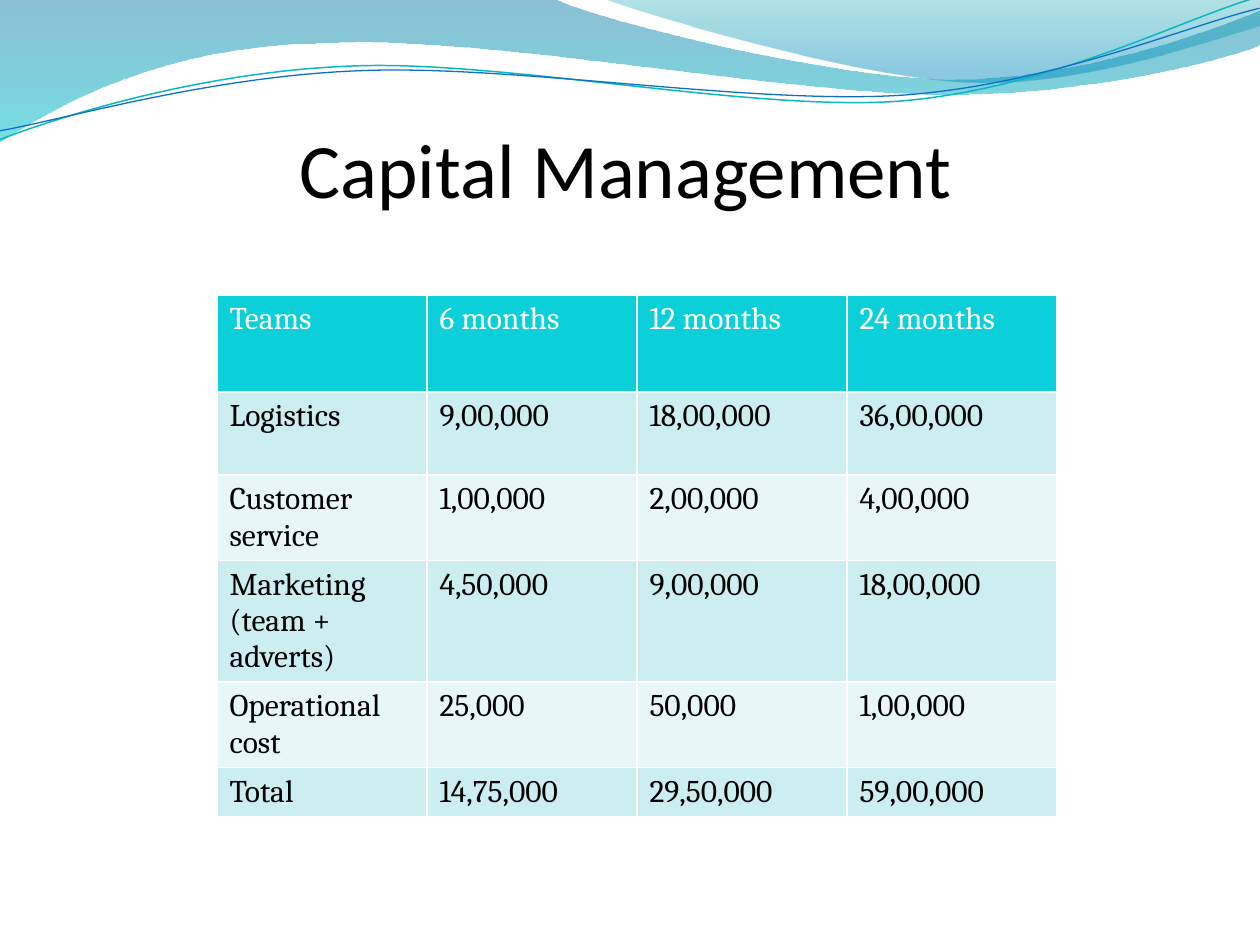
from dataclasses import dataclass

from lxml import etree
from pptx import Presentation
from pptx.dml.color import RGBColor
from pptx.enum.text import MSO_ANCHOR, PP_ALIGN
from pptx.oxml.ns import qn
from pptx.util import Inches, Pt

EMU_PER_PX = Inches(1) / 126
BLANK_LAYOUT = 6
LINE_ROTATION = 357.3
CENTER, LEFT = PP_ALIGN.CENTER, PP_ALIGN.LEFT
MIDDLE = MSO_ANCHOR.MIDDLE


@dataclass(frozen=True)
class Theme:
    title_font: str = "Calibri"
    table_font: str = "Cambria"
    title_size: int = 44
    table_size: int = 18
    text: str = "000000"
    white: str = "FFFFFF"
    header: str = "0BD0D9"
    bands: tuple = ("CCEEF1", "E7F7F8")
    # Gradient stops: position and opacity in percent
    left_wave: tuple = ((0, "0074A1", 45), (100, "00C6CF", 55))
    right_wave: tuple = ((0, "00A1A9", 30), (80, "008BBF", 45))
    teal_line: str = "0AB8BF"
    blue_line: str = "0F6FC6"


THEME = Theme()

# Each step after the start is one point (line) or three points (Bezier curve).
LEFT_WAVE = [
    (0, 0), [(554, -1)],
    [(600, 21), (837, 79), (955, 79)], [(1074, 79), (1207, 33), (1260, 11)],
    [(1261, 45)],
    [(1239, 55), (1096, 96), (940, 94)], [(784, 94), (481, 35), (324, 43)],
    [(163, 45), (58, 105), (-1, 142)], [(0, 0)],
]
RIGHT_WAVE = [
    (604, -1), [(641, 14), (859, 78), (969, 82)],
    [(1079, 87), (1211, 40), (1260, 26)], [(1260, 0)], [(604, -1)],
]
# The lines are given before their rotation.
TEAL_LINE = [
    (-3, 110), [(58, 90), (199, 52), (350, 53)],
    [(499, 53), (745, 117), (896, 114)], [(1049, 109), (1184, 45), (1260, 27)],
]
BLUE_LINE = [
    (-2, 101), [(57, 94), (207, 57), (357, 58)],
    [(509, 58), (750, 111), (902, 108)], [(1052, 104), (1188, 52), (1262, 38)],
]

BUDGET = [
    ["Teams", "6 months", "12 months", "24 months"],
    ["Logistics", "9,00,000", "18,00,000", "36,00,000"],
    ["Customer service", "1,00,000", "2,00,000", "4,00,000"],
    ["Marketing\n(team + adverts)", "4,50,000", "9,00,000", "18,00,000"],
    ["Operational cost", "25,000", "50,000", "1,00,000"],
    ["Total", "14,75,000", "29,50,000", "59,00,000"],
]
ROW_HEIGHTS = [97, 83, 83, 118, 83, 48]


def px(length):
    return round(length * EMU_PER_PX)


def color(value):
    return RGBColor.from_string(value)


def write_text(text_frame, text, *, font, size, text_color, align=LEFT):
    text_frame.word_wrap = True
    text_frame.text = text
    for paragraph in text_frame.paragraphs:
        paragraph.alignment = align
        for run in paragraph.runs:
            run.font.name = font
            run.font.size = Pt(size)
            run.font.bold = False
            run.font.color.rgb = color(text_color)


def bend_segments(shape, steps):
    """Join the straight segments of each three-point step into one curve."""
    segments = iter(list(shape.element.iter(qn("a:lnTo"))))
    for step in steps:
        segment = next(segments)
        if len(step) == 3:
            segment.tag = qn("a:cubicBezTo")
            for _ in range(2):
                extra = next(segments)
                segment.append(extra[0])
                extra.getparent().remove(extra)


def add_outline(slide, box, outline, closed):
    left, top = box[:2]
    start, *steps = outline
    points = [start] + [point for step in steps for point in step]
    vertices = [(px(left + x), px(top + y)) for x, y in points]
    builder = slide.shapes.build_freeform(*vertices[0], scale=1.0)
    builder.add_line_segments(vertices[1:], close=closed)
    shape = builder.convert_to_shape()
    bend_segments(shape, steps)
    shape.shadow.inherit = False
    return shape


def add_wave(slide, box, outline, stops):
    shape = add_outline(slide, box, outline, closed=True)
    shape.line.fill.background()
    shape.fill.gradient()
    shape.fill.gradient_angle = 270
    for stop, (position, value, _) in zip(shape.fill.gradient_stops, stops):
        stop.position = position / 100
        stop.color.rgb = color(value)
    color_nodes = shape.element.spPr.iter(qn("a:srgbClr"))
    for node, (_, _, opacity) in zip(color_nodes, stops):
        etree.SubElement(node, qn("a:alpha"), val=str(opacity * 1000))


def add_wave_line(slide, box, outline, line_color, width):
    shape = add_outline(slide, box, outline, closed=False)
    shape.rotation = LINE_ROTATION
    shape.fill.background()
    shape.line.color.rgb = color(line_color)
    shape.line.width = Pt(width)


def add_header_waves(slide, box):
    add_wave(slide, box, LEFT_WAVE, THEME.left_wave)
    add_wave(slide, box, RIGHT_WAVE, THEME.right_wave)
    add_wave_line(slide, box, TEAL_LINE, THEME.teal_line, 0.85)
    add_wave_line(slide, box, BLUE_LINE, THEME.blue_line, 0.75)


def add_title(slide, box, text):
    text_frame = slide.shapes.add_textbox(*map(px, box)).text_frame
    write_text(text_frame, text, font=THEME.title_font, size=THEME.title_size,
               text_color=THEME.text, align=CENTER)
    text_frame.vertical_anchor = MIDDLE


def add_budget_table(slide, box, rows):
    """Table whose white cell borders come from the default table style."""
    table = slide.shapes.add_table(len(rows), len(rows[0]), *map(px, box)).table
    for column in table.columns:
        column.width = px(box[2] / len(rows[0]))
    for row_index, values in enumerate(rows):
        is_header = row_index == 0
        table.rows[row_index].height = px(ROW_HEIGHTS[row_index])
        fill_color = THEME.header if is_header else THEME.bands[(row_index - 1) % 2]
        for column_index, value in enumerate(values):
            cell = table.cell(row_index, column_index)
            cell.fill.solid()
            cell.fill.fore_color.rgb = color(fill_color)
            write_text(cell.text_frame, value, font=THEME.table_font,
                       size=THEME.table_size,
                       text_color=THEME.white if is_header else THEME.text)


def main():
    presentation = Presentation()
    presentation.slide_width, presentation.slide_height = px(1260), px(945)
    slide = presentation.slides.add_slide(presentation.slide_layouts[BLANK_LAYOUT])
    add_header_waves(slide, (0, 0, 1260, 142))
    add_budget_table(slide, (217, 295, 840, sum(ROW_HEIGHTS)), BUDGET)
    add_title(slide, (59, 89, 1134, 158), "Capital Management")
    presentation.save("out.pptx")


if __name__ == "__main__":
    main()
